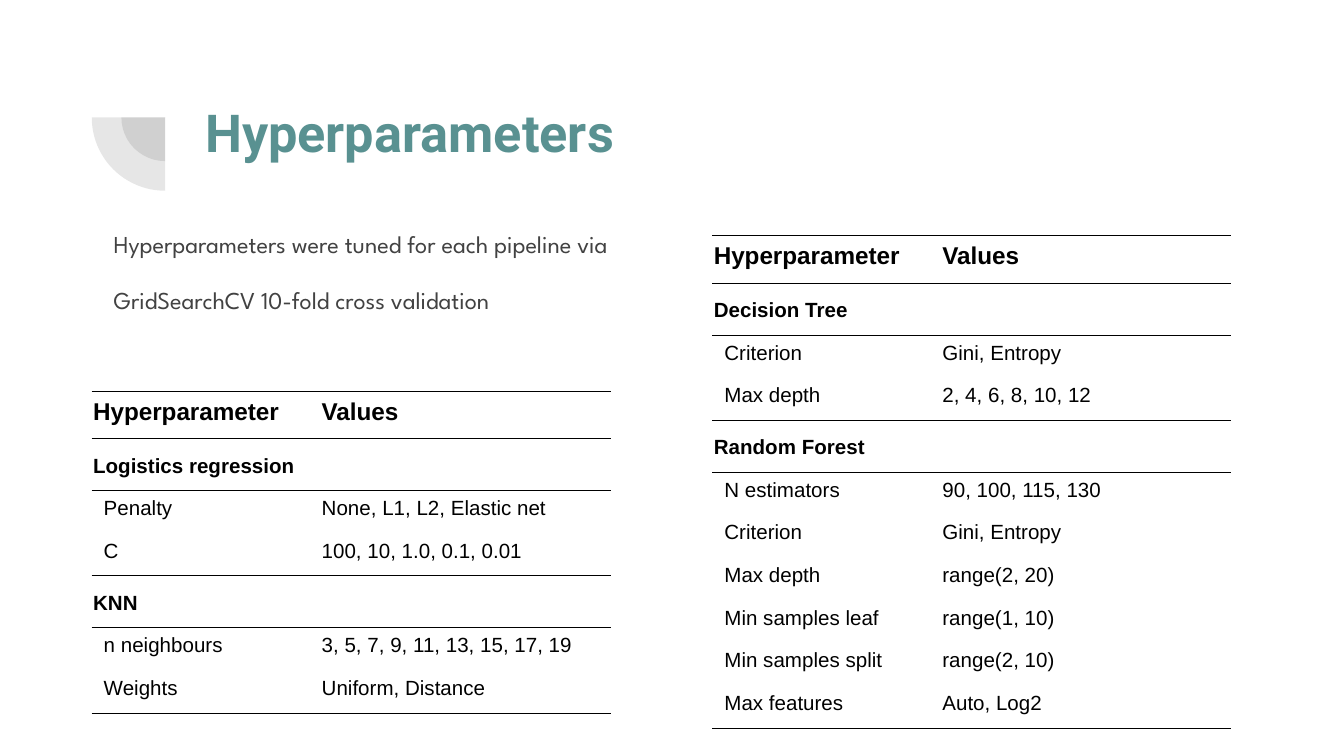
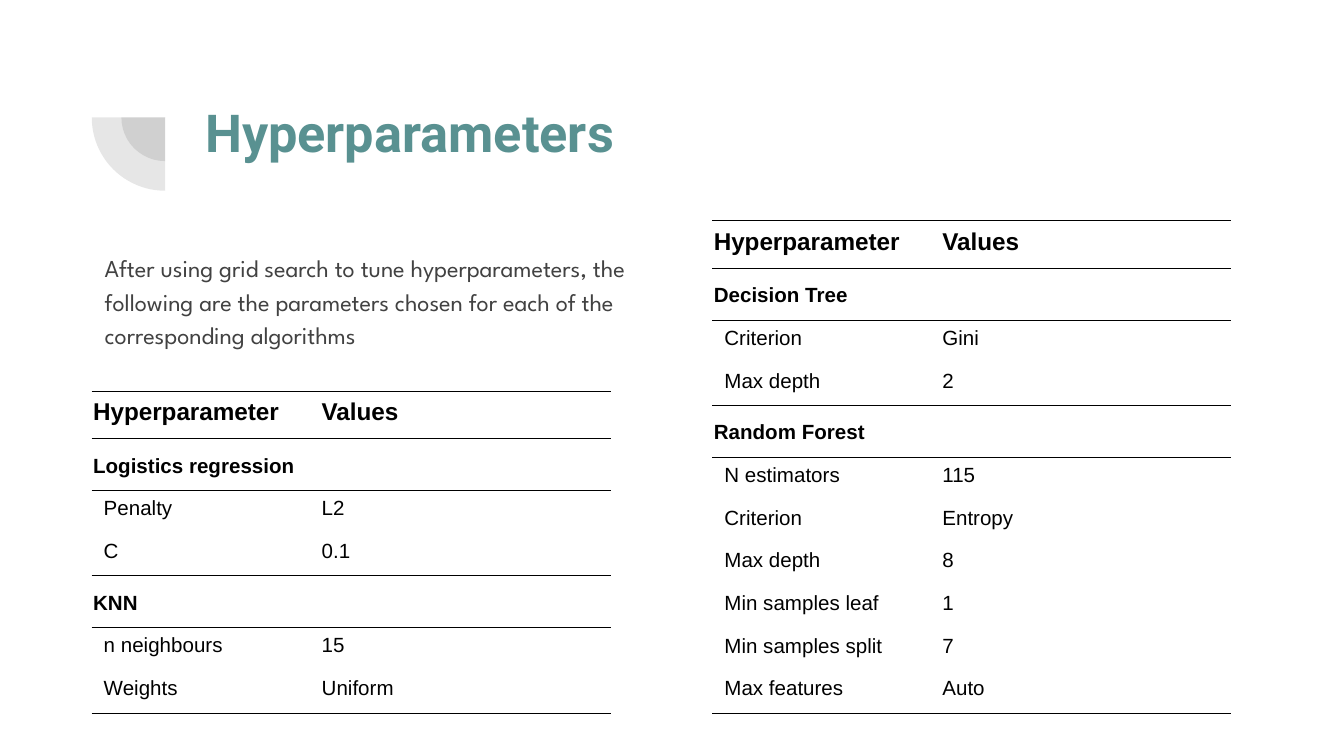
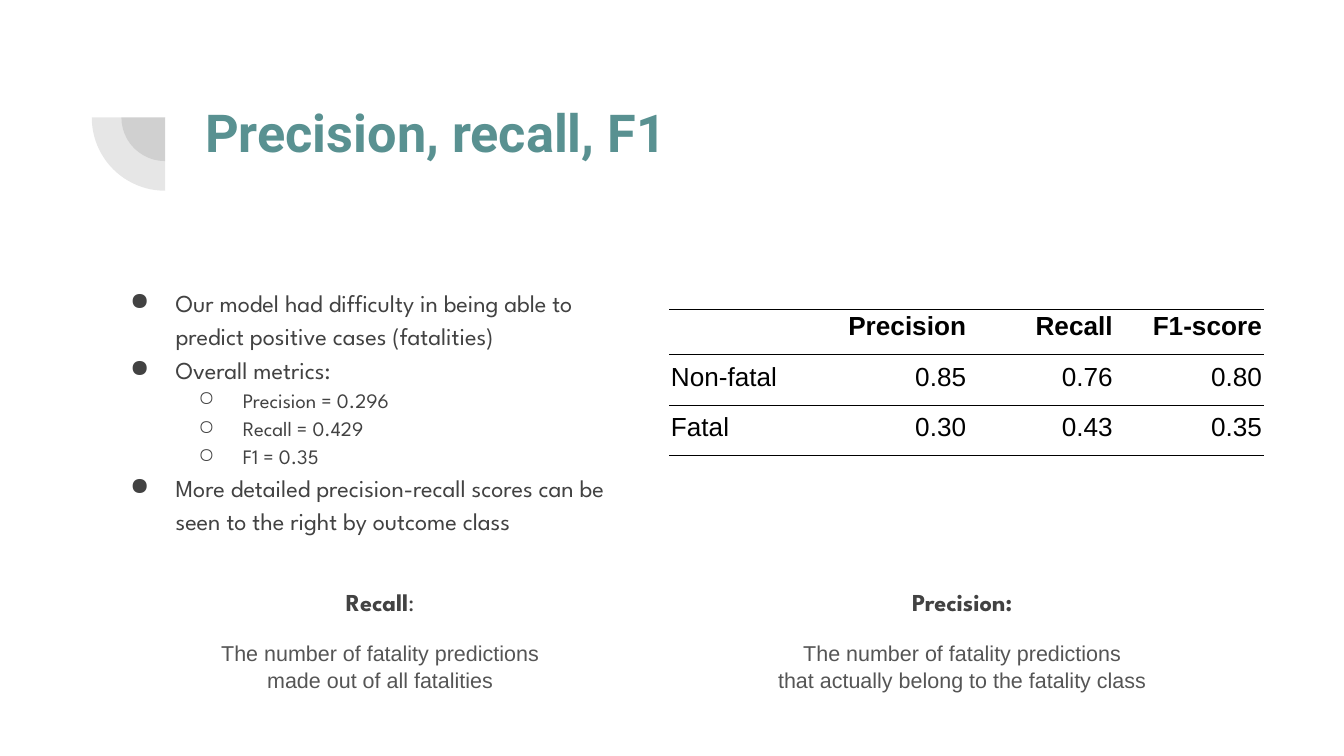
from dataclasses import dataclass

from lxml import etree
from pptx import Presentation
from pptx.dml.color import RGBColor
from pptx.enum.shapes import MSO_SHAPE
from pptx.enum.text import MSO_ANCHOR, PP_ALIGN
from pptx.oxml.ns import qn
from pptx.util import Cm, Pt

PIE = MSO_SHAPE.PIE
BOTTOM = MSO_ANCHOR.BOTTOM
TOP = MSO_ANCHOR.TOP
LEFT, CENTER, RIGHT = PP_ALIGN.LEFT, PP_ALIGN.CENTER, PP_ALIGN.RIGHT


@dataclass(frozen=True)
class Theme:
    """Colours, fonts and type sizes shared by the slides."""
    teal: str = "599191"
    grey: str = "424242"
    caption_grey: str = "555555"
    black: str = "000000"
    title_font: str = "Roboto"
    body_font: str = "League Spartan"
    table_font: str = "Arial"
    title_size: float = 28
    body_size: float = 13
    small_size: float = 11
    caption_size: float = 11.5
    metric_size: float = 14


THEME = Theme()


def style(font, size, color, bold=False):
    """Return the format of a run."""
    return {"name": font, "size": Pt(size), "bold": bold, "color": color}


TITLE = style(THEME.title_font, THEME.title_size, THEME.teal, True)
BODY = style(THEME.body_font, THEME.body_size, THEME.grey)
BODY_BOLD = {**BODY, "bold": True}
BODY_SMALL = {**BODY, "size": Pt(THEME.small_size)}
CAPTION = style(THEME.table_font, THEME.caption_size, THEME.caption_grey)
HEADER = style(THEME.table_font, THEME.body_size, THEME.black, True)
GROUP = style(THEME.table_font, THEME.small_size, THEME.black, True)
VALUE = {**GROUP, "bold": False}
METRIC = style(THEME.table_font, THEME.metric_size, THEME.black)
METRIC_HEADER = {**METRIC, "bold": True}

BODY_SPACING = {"line_spacing": 1.15}
PARTED = {"space_before": Pt(12), "space_after": Pt(12)}
CENTERED = {"alignment": CENTER, "line_spacing": 1.05}
BULLETS = (("●", 1.27, 0.86, BODY), ("○", 2.54, 0.84, BODY_SMALL))

COLUMNS = (4.32, 5.49)
LEFT_TABLE = (1.73, 7.39)
LINEAR_ROWS = ("Penalty", "C")
KNN_ROWS = ("n neighbours", "Weights")
TREE_ROWS = ("Criterion", "Max depth")
FOREST_ROWS = ("N estimators", "Criterion", "Max depth", "Min samples leaf",
               "Min samples split", "Max features")


def assign(target, values):
    """Set each attribute named in values."""
    for name, value in values.items():
        setattr(target, name, value)


def add_run(paragraph, text, font_style):
    """Add styled text, with a line break at each newline."""
    for index, line in enumerate(text.split("\n")):
        if index:
            paragraph.add_line_break()
        run = paragraph.add_run()
        run.text = line
        assign(run.font, {name: value for name, value in font_style.items() if name != "color"})
        run.font.color.rgb = RGBColor.from_string(font_style["color"])


def add_bullet(paragraph, level):
    """Give a paragraph the hanging bullet of its level."""
    symbol, margin, hang, _ = BULLETS[level]
    paragraph.level = level
    properties = paragraph._p.get_or_add_pPr()
    properties.set("marL", str(Cm(margin)))
    properties.set("indent", str(-Cm(hang)))
    color = etree.SubElement(properties, qn("a:buClr"))
    etree.SubElement(color, qn("a:srgbClr"), val=THEME.grey)
    etree.SubElement(properties, qn("a:buChar"), char=symbol)


def add_text(slide, box, paragraphs, top_inset=0.25):
    """Add a text box of (runs, paragraph format, bullet level) entries."""
    shape = slide.shapes.add_textbox(*map(Cm, box))
    frame = shape.text_frame
    assign(frame, {"word_wrap": True, "vertical_anchor": TOP, "margin_top": Cm(top_inset),
                   "margin_left": Cm(0.25), "margin_right": Cm(0.25), "margin_bottom": Cm(0.25)})
    for index, (runs, layout, level) in enumerate(paragraphs):
        paragraph = frame.add_paragraph() if index else frame.paragraphs[0]
        if level is not None:
            add_bullet(paragraph, level)
        assign(paragraph, layout)
        for text, font_style in runs:
            add_run(paragraph, text, font_style)


def add_quarter(slide, diameter):
    """Add a translucent quarter disc around the shared centre."""
    corner = (3.12 - diameter / 2, 2.22 - diameter / 2)
    shape = slide.shapes.add_shape(PIE, *map(Cm, (*corner, diameter, diameter)))
    shape.adjustments[0] = 108
    shape.adjustments[1] = 162
    shape.rotation = 270
    shape.shadow.inherit = False
    shape.line.fill.background()
    shape.fill.solid()
    shape.fill.fore_color.rgb = RGBColor.from_string(THEME.grey)
    color = shape.fill._xPr.find(".//" + qn("a:srgbClr"))
    etree.SubElement(color, qn("a:alpha"), val="13000")


def add_titled_slide(presentation, title):
    """Add a slide with the corner ornament and a title."""
    slide = presentation.slides.add_slide(presentation.slide_layouts[6])
    for diameter in (1.65, 2.77):
        add_quarter(slide, diameter)
    add_text(slide, (3.63, 1.65, 19.53, 2.77), [([(title, TITLE)], {}, None)])
    return slide


def set_borders(cell, width, top, bottom):
    """Draw the wanted horizontal borders and hide the others."""
    properties = cell._tc.get_or_add_tcPr()
    for side, shown in (("L", False), ("R", False), ("T", top), ("B", bottom)):
        line = etree.SubElement(properties, qn("a:ln" + side), w=str(Pt(width)))
        if shown:
            fill = etree.SubElement(line, qn("a:solidFill"))
            etree.SubElement(fill, qn("a:srgbClr"), val=THEME.black)
        else:
            etree.SubElement(line, qn("a:noFill"))


def fill_cell(cell, text, font_style, indent, layout):
    """Write one cell; empty cells get no margins."""
    if not text:
        assign(cell, {"margin_top": 0, "margin_bottom": 0})
        return
    assign(cell, {"vertical_anchor": BOTTOM, "margin_left": Cm(indent), "margin_right": Cm(0.03),
                  "margin_top": Cm(0.02), "margin_bottom": Cm(0.25)})
    paragraph = cell.text_frame.paragraphs[0]
    assign(paragraph, layout)
    add_run(paragraph, text, font_style)


def add_ruled_table(slide, corner, columns, rows, rules, line_width):
    """Add a table of (height, cells) rows with lines at the given row edges."""
    height = sum(row_height for row_height, _ in rows)
    frame = slide.shapes.add_table(len(rows), len(columns), *map(Cm, (*corner, sum(columns), height)))
    table = frame.table
    assign(table, {"first_row": False, "horz_banding": False})
    for column, width in zip(table.columns, columns):
        column.width = Cm(width)
    for index, (row_height, cells) in enumerate(rows):
        table.rows[index].height = Cm(row_height)
        for cell, content in zip(table.rows[index].cells, cells):
            fill_cell(cell, *content)
            set_borders(cell, line_width, index in rules, index + 1 in rules)
            cell.fill.background()


def add_parameter_table(slide, corner, groups):
    """Add a table of hyperparameters grouped by algorithm."""
    def row(height, name, value, font_style, indent=0.03):
        return height, [(name, font_style, indent, BODY_SPACING),
                        (value, font_style, 0.03, BODY_SPACING)]

    rows = [row(0.88, "Hyperparameter", "Values", HEADER)]
    rules = {0, 1}
    for algorithm, names, values in groups:
        rows.append(row(0.98, algorithm, "", GROUP))
        rules.add(len(rows))
        rows += [row(0.78, name, value, VALUE, 0.23) for name, value in zip(names, values)]
        rules.add(len(rows))
    add_ruled_table(slide, corner, COLUMNS, rows, rules, 0.5)


def add_metric_table(slide, header, scores):
    """Add the table of scores by outcome class."""
    def row(height, texts, font_style, number_layout):
        return height, [(text, font_style, 0.03, number_layout if index else {"alignment": LEFT})
                        for index, text in enumerate(texts)]

    rows = [row(0.83, header, METRIC_HEADER, {"alignment": RIGHT})]
    rows += [row(0.92, score, METRIC, {"alignment": RIGHT, **BODY_SPACING}) for score in scores]
    add_ruled_table(slide, (12.65, 5.84), (2.82, 2.82, 2.77, 2.82), rows,
                    set(range(len(rows) + 1)), 0.38)


def add_definition(slide, left, term_runs, meaning):
    """Add a centred term with its meaning below."""
    add_text(slide, (left, 10.82, 9.45, 2.62),
             [(term_runs, CENTERED, None), ([(meaning, CAPTION)], {**CENTERED, **PARTED}, None)])


def build_search_slide(presentation):
    """Build the slide of searched values."""
    slide = add_titled_slide(presentation, "Hyperparameters")
    add_text(slide, (1.9, 4.01, 19.53, 7.06), [
        ([("Hyperparameters were tuned for each pipeline via", BODY)], BODY_SPACING, None),
        ([("GridSearchCV 10-fold cross validation", BODY)], {**BODY_SPACING, **PARTED}, None)])
    add_parameter_table(slide, LEFT_TABLE, [
        ("Logistics regression", LINEAR_ROWS, ("None, L1, L2, Elastic net", "100, 10, 1.0, 0.1, 0.01")),
        ("KNN", KNN_ROWS, ("3, 5, 7, 9, 11, 13, 15, 17, 19", "Uniform, Distance"))])
    add_parameter_table(slide, (13.46, 4.45), [
        ("Decision Tree", TREE_ROWS, ("Gini, Entropy", "2, 4, 6, 8, 10, 12")),
        ("Random Forest", FOREST_ROWS, ("90, 100, 115, 130", "Gini, Entropy", "range(2, 20)",
                                        "range(1, 10)", "range(2, 10)", "Auto, Log2"))])


def build_choice_slide(presentation):
    """Build the slide of chosen values."""
    slide = add_titled_slide(presentation, "Hyperparameters")
    add_text(slide, (1.73, 3.45, 11.05, 7.06), [
        ([("After using grid search to tune hyperparameters, the following are the parameters "
           "chosen for each of the corresponding algorithms", BODY)], BODY_SPACING, None)],
        top_inset=1.26)
    add_parameter_table(slide, LEFT_TABLE, [
        ("Logistics regression", LINEAR_ROWS, ("L2", "0.1")),
        ("KNN", KNN_ROWS, ("15", "Uniform"))])
    add_parameter_table(slide, (13.46, 4.17), [
        ("Decision Tree", TREE_ROWS, ("Gini", "2")),
        ("Random Forest", FOREST_ROWS, ("115", "Entropy", "8", "1", "7", "Auto"))])


def build_metric_slide(presentation):
    """Build the slide of precision, recall and F1."""
    slide = add_titled_slide(presentation, "Precision, recall, F1")
    findings = (
        (0, "Our model had difficulty in being able to predict positive cases (fatalities)"),
        (0, "Overall metrics:"),
        (1, "Precision = 0.296"),
        (1, "Recall = 0.429"),
        (1, "F1 = 0.35"),
        (0, "More detailed precision-recall scores can be seen to the right by outcome class"))
    add_text(slide, (1.8, 5.11, 10.44, 7.06),
             [([(text, BULLETS[level][3])], BODY_SPACING, level) for level, text in findings])
    add_metric_table(slide, ("", "Precision", "Recall", "F1-score"),
                     (("Non-fatal", "0.85", "0.76", "0.80"), ("Fatal", "0.30", "0.43", "0.35")))
    add_definition(slide, 2.46, [("Recall", BODY_BOLD), (":", BODY)],
                   "The number of fatality predictions\nmade out of all fatalities")
    add_definition(slide, 13.46, [("Precision:", BODY_BOLD)],
                   "The number of fatality predictions\nthat actually belong to the fatality class")


def main():
    """Build and save the presentation."""
    presentation = Presentation()
    assign(presentation, {"slide_width": Cm(25.4), "slide_height": Cm(14.29)})
    build_search_slide(presentation)
    build_choice_slide(presentation)
    build_metric_slide(presentation)
    presentation.save("out.pptx")


if __name__ == "__main__":
    main()
